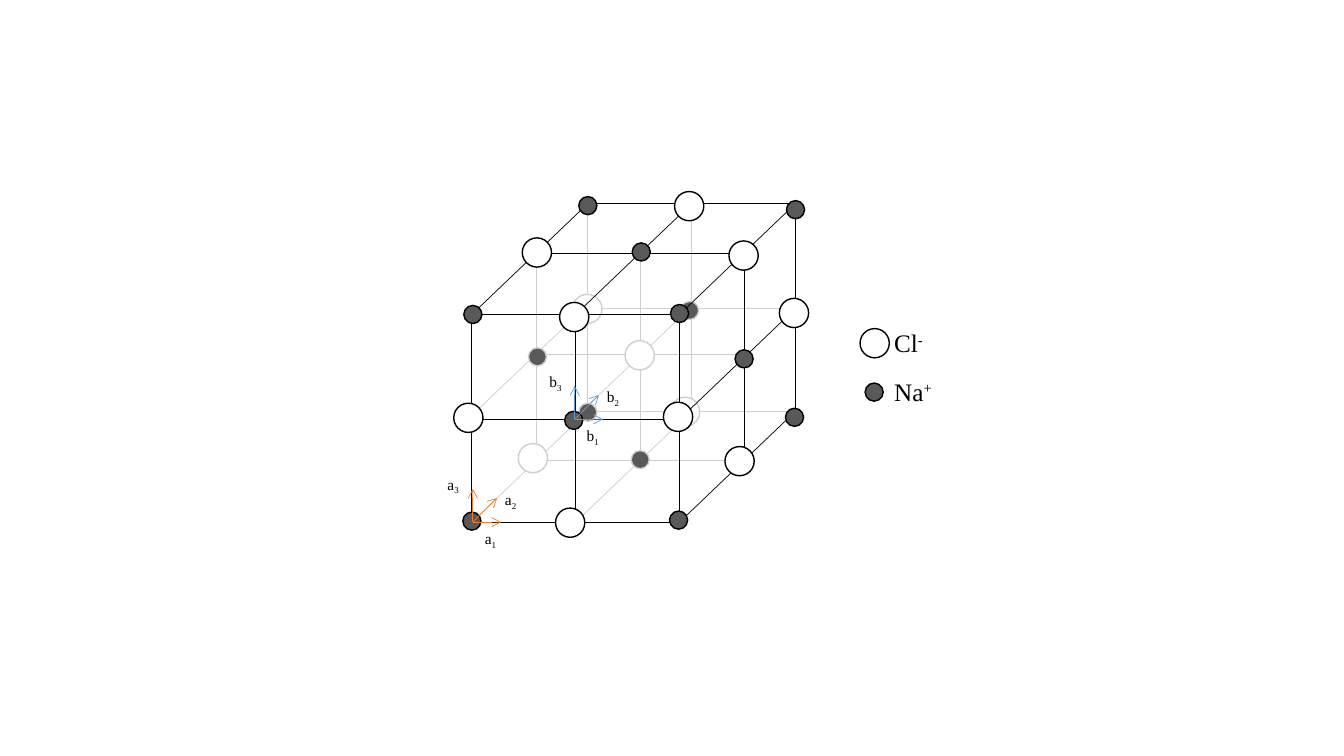
import itertools

import pptx
import pptx.dml.color
import pptx.enum.shapes
import pptx.enum.text
import pptx.oxml
import pptx.oxml.ns
import pptx.util

PX = 9144  # EMU in one px, 100 px to the inch


class Theme:
    FONT = "Times New Roman"
    BLACK, HIDDEN = "000000", "D0CECE"
    CHLORIDE, SODIUM = "FFFFFF", "595959"
    CELL_AXES, ION_AXES = "ED7D31", "5B9BD5"
    LEGEND_SIZE, AXIS_SIZE = 18, 11
    EDGE, OUTLINE = 0.5, 1


def px(*lengths):
    return [pptx.util.Emu(length * PX) for length in lengths]


def rgb(colour):
    return pptx.dml.color.RGBColor.from_string(colour)


class CrystalSlide:
    def __init__(self, presentation, theme):
        self.theme = theme
        self.shapes = presentation.slides.add_slide(presentation.slide_layouts[6]).shapes

    def line(self, start, end, colour, arrow=False):
        connector = self.shapes.add_connector(
            pptx.enum.shapes.MSO_CONNECTOR.STRAIGHT, *px(*start, *end))
        connector.line.color.rgb = rgb(colour)
        connector.line.width = pptx.util.Pt(self.theme.EDGE)
        if arrow:
            head = pptx.oxml.parse_xml(
                f'<a:headEnd {pptx.oxml.ns.nsdecls("a")} type="arrow"/>')
            connector.line._get_or_add_ln().append(head)
        connector._element.spPr.append(
            pptx.oxml.parse_xml(f'<a:effectLst {pptx.oxml.ns.nsdecls("a")}/>'))

    def ion(self, left, top, sodium, colour):
        size = 18 if sodium else 29
        shape = self.shapes.add_shape(
            pptx.enum.shapes.MSO_SHAPE.OVAL, *px(left, top, size, size))
        shape.shadow.inherit = False
        shape.fill.solid()
        shape.fill.fore_color.rgb = rgb(self.theme.SODIUM if sodium else self.theme.CHLORIDE)
        shape.line.color.rgb = rgb(colour)
        shape.line.width = pptx.util.Pt(self.theme.OUTLINE)

    def label(self, box, text, script, baseline, size):
        """Text followed by a raised or lowered sign; baseline is in percent."""
        text_frame = self.shapes.add_textbox(*px(*box)).text_frame
        text_frame.word_wrap = True
        text_frame.auto_size = pptx.enum.text.MSO_AUTO_SIZE.SHAPE_TO_FIT_TEXT
        paragraph = text_frame.paragraphs[0]
        for part in (text, script):
            run = paragraph.add_run()
            run.text = part
            run.font.name = self.theme.FONT
            run.font.size = pptx.util.Pt(size)
            run.font.color.rgb = rgb(self.theme.BLACK)
        run._r.get_or_add_rPr().set("baseline", str(baseline * 1000))

    def axes(self, name, origin, colour):
        x, y = origin
        for dx, dy in ((24, -24), (0, -33), (28, 0)):
            self.line((x + dx, y + dy), origin, colour, arrow=True)
        for number, (dx, dy) in enumerate(((2, 2), (22, -37), (-35, -52)), 1):
            self.label((x + dx, y + dy, 94, 29), name, str(number), -25, self.theme.AXIS_SIZE)


# Lattice: column (left to right), depth (front to back), level (bottom to top)
STEP = 103
DEPTH_LEFT = (468, 532, 583)
LEVEL_TOP = ((518, 416, 312), (457, 352, 251), (408, 306, 202))
# Shift of the depth lines at (column, level)
DEPTH_LINE_SHIFT = {(0, 1): (-4, 0), (1, 1): (1, -3)}

# Left and top of each ion: a block per depth, a row per column, levels upwards
ION_PLACES = (
    (459, 508), (450, 400), (460, 303),
    (551, 504), (560, 408), (555, 300),
    (664, 507), (658, 399), (665, 302),

    (514, 440), (524, 345), (518, 236),
    (626, 447), (620, 338), (627, 241),
    (719, 443), (729, 347), (723, 239),

    (574, 400), (568, 292), (574, 195),
    (665, 394), (675, 299), (669, 190),
    (779, 405), (773, 296), (780, 199),
)


def lattice_point(column, depth, level):
    return DEPTH_LEFT[depth] + STEP * column, LEVEL_TOP[depth][level]


def lattice_lines():
    """Yield start, end and visibility of the lines in all three directions."""
    for a, b in itertools.product(range(3), repeat=2):
        yield lattice_point(0, a, b), lattice_point(2, a, b), a == 0 or b == 2
        yield lattice_point(a, b, 0), lattice_point(a, b, 2), b == 0 or a == 2
        dx, dy = DEPTH_LINE_SHIFT.get((a, b), (0, 0))
        start, end = [(x + dx, y + dy) for x, y in
                      (lattice_point(a, 0, b), lattice_point(a, 2, b))]
        yield start, end, a == 2 or b == 2


def lattice_ions():
    """Yield place, kind and visibility; the two kinds alternate."""
    sites = itertools.product(range(3), repeat=3)
    for (depth, column, level), place in zip(sites, ION_PLACES):
        sodium = (depth + column + level) % 2 == 0
        yield place, sodium, depth == 0 or column == 2 or level == 2


def main():
    presentation = pptx.Presentation()
    presentation.slide_width, presentation.slide_height = px(1333, 750)
    theme = Theme()
    slide = CrystalSlide(presentation, theme)

    # Crystal: hidden part first, then the visible faces
    for shown, colour in ((False, theme.HIDDEN), (True, theme.BLACK)):
        for start, end, visible in lattice_lines():
            if visible == shown:
                slide.line(start, end, colour)
        for place, sodium, visible in lattice_ions():
            if visible == shown:
                slide.ion(*place, sodium, colour)

    # Legend
    slide.ion(858, 380, True, theme.BLACK)
    slide.ion(853, 326, False, theme.BLACK)
    for top, element, charge in ((320, "Cl", "-"), (368, "Na", "+")):
        slide.label((877, top, 113, 40), element, charge, 30, theme.LEGEND_SIZE)

    # Basis vectors
    slide.axes("a", (469, 518), theme.CELL_AXES)
    slide.axes("b", (570, 416), theme.ION_AXES)

    presentation.save("out.pptx")


if __name__ == "__main__":
    main()
